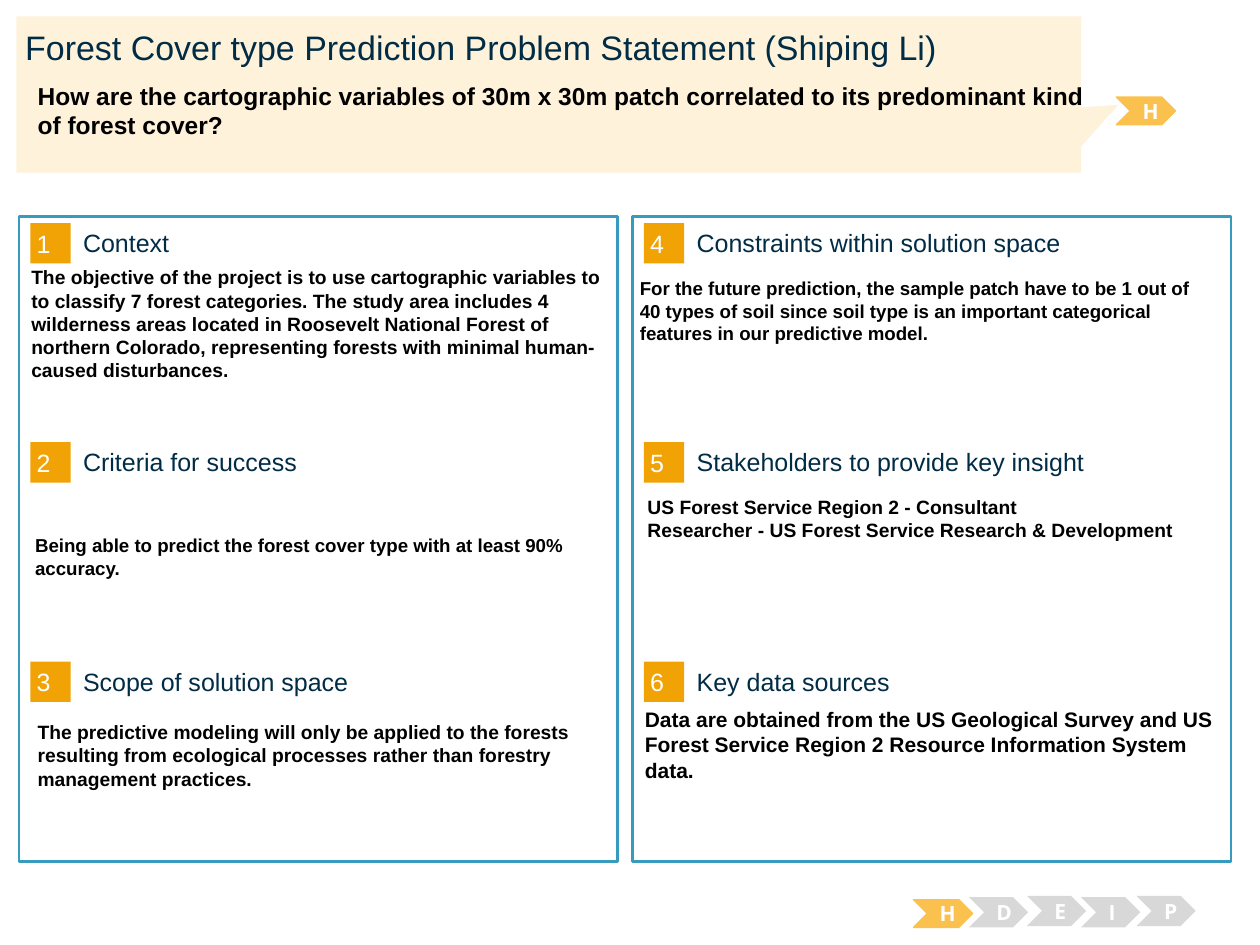
from dataclasses import dataclass

from pptx import Presentation
from pptx.dml.color import RGBColor
from pptx.enum.shapes import MSO_SHAPE as Preset
from pptx.enum.text import MSO_ANCHOR as Anchor, PP_ALIGN as Align
from pptx.util import Inches, Pt

WHITE = RGBColor(0xFF, 0xFF, 0xFF)
BLACK = RGBColor(0x00, 0x00, 0x00)
NAVY = RGBColor(0x00, 0x2C, 0x46)
TEAL = RGBColor(0x37, 0x9B, 0xBD)
ORANGE = RGBColor(0xF1, 0xA2, 0x05)
AMBER = RGBColor(0xFB, 0xC1, 0x4E)
CREAM = RGBColor(0xFE, 0xF2, 0xDA)
GREY = RGBColor(0xD8, 0xD8, 0xD8)

# Grid of two columns and three rows
COLUMN_LEFT, COLUMN_STEP = 0.15, 4.87
ROW_TOP, ROW_STEP = 1.77, 1.74
PANEL_TOP, PANEL_WIDTH, PANEL_HEIGHT = 1.72, 4.75, 5.12
BADGE_SIZE = 0.32
BODY_WIDTH = 4.73


@dataclass(frozen=True)
class Box:
    left: float
    top: float
    width: float
    height: float

    def lengths(self) -> list[int]:
        return [Inches(n) for n in (self.left, self.top, self.width, self.height)]


@dataclass(frozen=True)
class Style:
    size: float
    color: RGBColor
    bold: bool = False
    font: str = "Arial"
    inset: tuple[float, float] = (0.1, 0.05)
    anchor: Anchor = Anchor.TOP
    align: Align = Align.LEFT


@dataclass(frozen=True)
class Section:
    column: int
    row: int
    heading: str
    lines: tuple[str, ...]
    body_left: float
    body_top: float
    body_height: float
    body_size: float = 11


@dataclass(frozen=True)
class Step:
    letter: str
    left: float
    top: float
    active: bool = False


TITLE = Style(19.4, NAVY, inset=(0, 0))
HEADING = Style(14.3, NAVY, inset=(0, 0), anchor=Anchor.MIDDLE)
BADGE = Style(14.3, WHITE, inset=(0.05, 0.05), anchor=Anchor.MIDDLE)
QUESTION = Style(14, BLACK, bold=True)
LETTER = Style(12, WHITE, bold=True, font="Open Sans",
               anchor=Anchor.MIDDLE, align=Align.CENTER)

SECTIONS = [
    Section(0, 0, "Context", (
        "The objective of the project is to use cartographic variables to to "
        "classify 7 forest categories. The study area includes 4 wilderness "
        "areas located in Roosevelt National Forest of northern Colorado, "
        "representing forests with minimal human-caused disturbances.",),
        0.15, 2.06, 1.67),
    Section(0, 1, "Criteria for success", (
        "Being able to predict the forest cover type with at least 90% accuracy.",),
        0.18, 4.19, 1.54, 10.7),
    Section(0, 2, "Scope of solution space", (
        "The predictive modeling will only be applied to the forests resulting "
        "from ecological processes rather than forestry management practices.",),
        0.2, 5.67, 0.82),
    Section(1, 0, "Constraints within solution space", (
        "For the future prediction, the sample patch have to be 1 out of 40 "
        "types of soil since soil type is an important categorical features in "
        "our predictive model.",),
        4.98, 2.15, 1.18, 10.7),
    Section(1, 1, "Stakeholders to provide key insight", (
        "US Forest Service Region 2 - Consultant",
        "Researcher - US Forest Service Research & Development"),
        5.04, 3.88, 1.18),
    Section(1, 2, "Key data sources", (
        "Data are obtained from the US Geological Survey and US Forest Service "
        "Region 2 Resource Information System data.",),
        5.02, 5.56, 1.18, 12),
]

STEPS = [
    Step("H", 7.25, 7.14, active=True),
    Step("D", 7.69, 7.12),
    Step("E", 8.15, 7.11),
    Step("I", 8.58, 7.12),
    Step("P", 9.02, 7.11),
    Step("H", 8.86, 0.77, active=True),
]


def write(shape, lines: tuple[str, ...], style: Style) -> None:
    frame = shape.text_frame
    side, edge = (Inches(n) for n in style.inset)
    layout = dict(word_wrap=True, vertical_anchor=style.anchor, margin_left=side,
                  margin_right=side, margin_top=edge, margin_bottom=edge)
    for name, value in layout.items():
        setattr(frame, name, value)
    for index, line in enumerate(lines):
        para = frame.add_paragraph() if index else frame.paragraphs[0]
        para.alignment = style.align
        span = para.add_run()
        span.text = line
        look = dict(name=style.font, size=Pt(style.size), bold=style.bold)
        for name, value in look.items():
            setattr(span.font, name, value)
        span.font.color.rgb = style.color


def add_text(slide, box: Box, lines: tuple[str, ...], style: Style) -> None:
    write(slide.shapes.add_textbox(*box.lengths()), lines, style)


def add_block(slide, preset: Preset, box: Box, fill: RGBColor,
              line: RGBColor | None = None, weight: float = 0.75):
    shape = slide.shapes.add_shape(preset, *box.lengths())
    shape.shadow.inherit = False
    shape.fill.solid()
    shape.fill.fore_color.rgb = fill
    if line is None:
        shape.line.fill.background()
    else:
        shape.line.color.rgb = line
        shape.line.width = Pt(weight)
    return shape


def add_section(slide, section: Section) -> None:
    left = COLUMN_LEFT + section.column * COLUMN_STEP
    top = ROW_TOP + section.row * ROW_STEP
    badge = add_block(slide, Preset.RECTANGLE,
                      Box(left + 0.09, top, BADGE_SIZE, BADGE_SIZE), ORANGE)
    write(badge, (str(section.column * 3 + section.row + 1),), BADGE)
    add_text(slide, Box(left + 0.51, top + 0.03, 3.93, 0.25),
             (section.heading,), HEADING)
    add_text(slide, Box(section.body_left, section.body_top, BODY_WIDTH,
                        section.body_height),
             section.lines, Style(section.body_size, BLACK, bold=True))


def add_step(slide, step: Step) -> None:
    fill, line, height = (AMBER, AMBER, 0.22) if step.active else (GREY, None, 0.24)
    chevron = add_block(slide, Preset.CHEVRON,
                        Box(step.left, step.top, 0.47, height), fill, line)
    write(chevron, (step.letter,), LETTER)


deck = Presentation()
deck.slide_width, deck.slide_height = Inches(10), Inches(7.5)
page = deck.slides.add_slide(deck.slide_layouts[6])

# Panels and numbered sections
for column in range(2):
    add_block(page, Preset.RECTANGLE,
              Box(COLUMN_LEFT + column * COLUMN_STEP, PANEL_TOP,
                  PANEL_WIDTH, PANEL_HEIGHT), WHITE, TEAL, 1.5)
for section in SECTIONS:
    add_section(page, section)

# Progress chevrons
for step in STEPS:
    add_step(page, step)

# Callout with title and question
callout = add_block(page, Preset.RECTANGULAR_CALLOUT,
                    Box(0.13, 0.13, 8.45, 1.24), CREAM)
callout.adjustments[0], callout.adjustments[1] = 0.535, 0.066
add_text(page, Box(0.2, 0.21, 9.62, 0.34),
         ("Forest Cover type Prediction Problem Statement (Shiping Li)",), TITLE)
add_text(page, Box(0.2, 0.59, 9.39, 0.54),
         ("How are the cartographic variables of 30m x 30m patch correlated "
          "to its predominant kind", "of forest cover?"), QUESTION)

deck.save("out.pptx")
